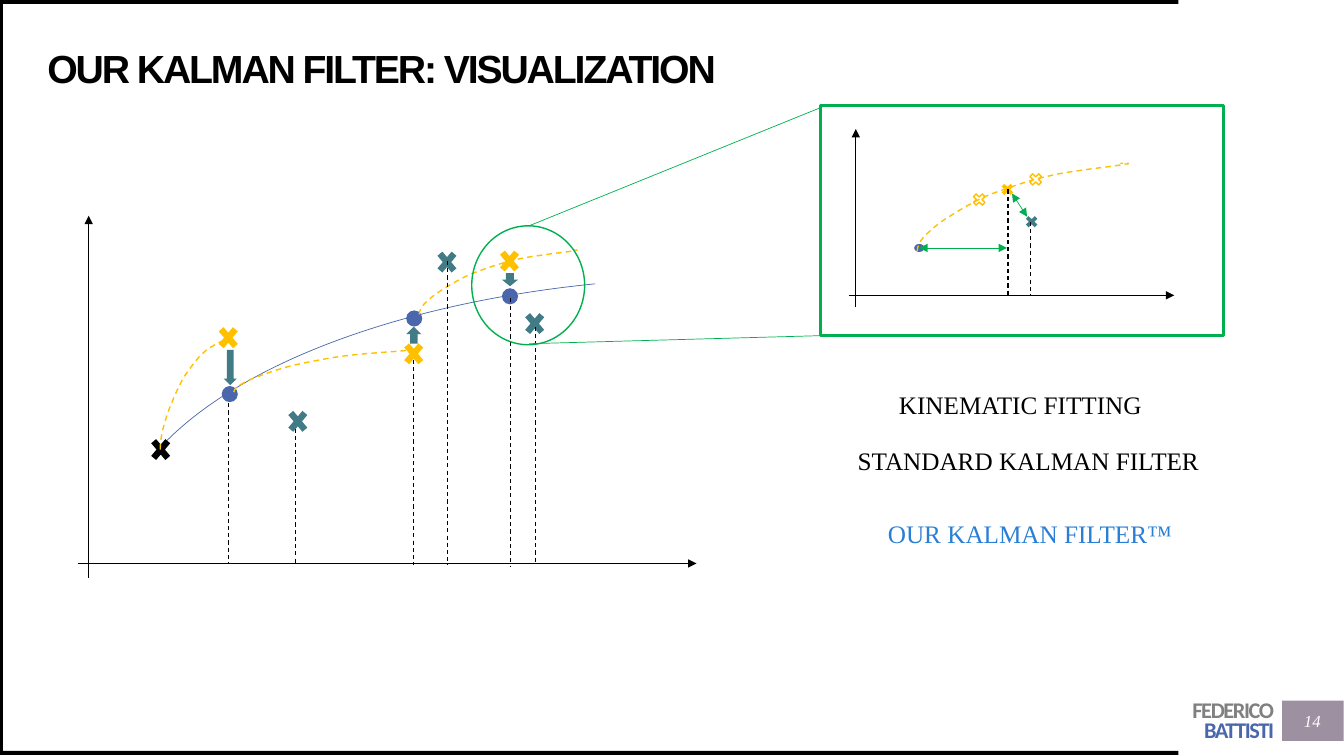
from dataclasses import dataclass
from lxml.etree import SubElement
from pptx import Presentation
from pptx.dml.color import RGBColor
from pptx.enum.dml import MSO_LINE
from pptx.enum.shapes import MSO_CONNECTOR, MSO_SHAPE
from pptx.enum.text import MSO_ANCHOR, MSO_AUTO_SIZE, PP_ALIGN
from pptx.oxml.ns import qn
from pptx.util import Inches, Pt

PX = 9144


@dataclass(frozen=True)
class Theme:
    black: str = "000000"
    white: str = "FFFFFF"
    blue: str = "4A66AC"
    sky: str = "297FD5"
    teal: str = "417B85"
    gold: str = "FFC000"
    green: str = "00B050"
    grey: str = "808080"
    mauve: str = "9D90A0"
    title: int = 28
    label: int = 18
    author: int = 16
    number: int = 12
    head_font: str = "Arial"
    body_font: str = "Times New Roman"
    author_font: str = "Calibri"


def add_text(p, text, *, size, font, color, bold=False, italic=False, spacing=0):
    r = p.add_run()
    r.text = text
    f = r.font
    f.size, f.name, f.bold, f.italic = Pt(size), font, bold, italic
    f.color.rgb = RGBColor.from_string(color)
    if spacing:
        r._r.get_or_add_rPr().set("spc", str(int(spacing * 100)))


TRACK = [(0, 100), (0, 95), (1, 90), (3, 84), (6, 77), (10, 68), (15, 61),
         (20, 53), (26, 45), (32, 38), (39, 31), (49, 23), (56, 18),
         (63, 14), (68, 11), (75, 9), (82, 6), (95, 3), (98, 1),
         (102, 0), (99, 0), (96, 0)]


class Canvas:
    """Draws styled elements on one slide, with lengths in px."""

    def __init__(self, slide, theme):
        self.s = slide
        self.shapes = slide.shapes
        self.t = theme

    def open_group(self):
        self.shapes = self.s.shapes.add_group_shape().shapes

    def close_group(self):
        self.shapes = self.s.shapes

    def stroke(self, line, color, width, dash=False):
        line.color.rgb = RGBColor.from_string(color)
        line.width = Pt(width)
        if dash:
            line.dash_style = MSO_LINE.DASH

    def shape(self, kind, x, y, w, h, fill=None, line=None, width=1, turn=0, adj=()):
        sp = self.shapes.add_shape(kind, x * PX, y * PX, w * PX, h * PX)
        sp.shadow.inherit = False
        sp.rotation = turn
        for i, value in enumerate(adj):
            sp.adjustments[i] = value
        if fill:
            sp.fill.solid()
            sp.fill.fore_color.rgb = RGBColor.from_string(fill)
        else:
            sp.fill.background()
        if line:
            self.stroke(sp.line, line, width)
        else:
            sp.line.fill.background()

    def line(self, x1, y1, x2, y2, color, width=0.5, dash=False, ends=()):
        cn = self.shapes.add_connector(
            MSO_CONNECTOR.STRAIGHT, x1 * PX, y1 * PX, x2 * PX, y2 * PX)
        self.stroke(cn.line, color, width, dash)
        ln = cn.line._get_or_add_ln()
        for end in ends:
            SubElement(ln, qn(f"a:{end}"), type="triangle")
        SubElement(cn._element.spPr, qn("a:effectLst"))

    def axis(self, x1, y1, x2, y2):
        self.line(x1, y1, x2, y2, self.t.black, ends=("tailEnd",))

    def drop(self, x, top, bottom):
        self.line(x, top, x, bottom, self.t.black, 0.75, dash=True)

    def link(self, x1, y1, x2, y2):
        self.line(x1, y1, x2, y2, self.t.green, ends=("headEnd", "tailEnd"))

    def cross(self, x, y, color, w=27, h=32):
        self.shape(MSO_SHAPE.MATH_MULTIPLY, x, y, w, h, color)

    def track(self, x, y, w, h):
        pts = [(round(w * a * PX / 100), round(h * b * PX / 100)) for a, b in TRACK]
        fb = self.shapes.build_freeform(x * PX, (y + h) * PX)
        fb.add_line_segments([(x * PX + a, y * PX + b) for a, b in pts[3::3]],
                             close=False)
        sp = fb.convert_to_shape()
        sp.shadow.inherit = False
        sp.fill.background()
        self.stroke(sp.line, self.t.gold, 1, dash=True)
        segments = list(sp._element.iter(qn("a:lnTo")))
        for i, segment in enumerate(segments):
            segment.tag = qn("a:cubicBezTo")
            segment.clear()
            for a, b in pts[3 * i + 1:3 * i + 4]:
                SubElement(segment, qn("a:pt"), x=str(a), y=str(b))

    def title(self, text, x, y, w, h):
        sp = self.s.shapes.title
        sp.left, sp.top, sp.width, sp.height = (v * PX for v in (x, y, w, h))
        tf = sp.text_frame
        self.frame(tf, (0, 0, 0, 0), MSO_ANCHOR.MIDDLE)
        p = tf.paragraphs[0]
        p.alignment, p.line_spacing = PP_ALIGN.LEFT, 0.9
        add_text(p, text, size=self.t.title, font=self.t.head_font,
                 color=self.t.black, bold=True, spacing=-1.5)

    def frame(self, tf, insets, anchor):
        tf.word_wrap, tf.auto_size = True, MSO_AUTO_SIZE.NONE
        tf.vertical_anchor = anchor
        tf.margin_left, tf.margin_top, tf.margin_right, tf.margin_bottom = (
            v * PX for v in insets)

    def box(self, x, y, w, h, insets=(10, 5, 10, 5), anchor=MSO_ANCHOR.TOP,
            align=PP_ALIGN.LEFT):
        tf = self.shapes.add_textbox(x * PX, y * PX, w * PX, h * PX).text_frame
        self.frame(tf, insets, anchor)
        p = tf.paragraphs[0]
        p.alignment = align
        return p

    def label(self, text, x, y, w, color):
        add_text(self.box(x, y, w, 40), text, size=self.t.label,
                 font=self.t.body_font, color=color)


def draw_frame(c):
    t = c.t
    c.shape(MSO_SHAPE.RECTANGLE, 1272, 695, 61, 40, t.mauve)
    for x, y, w, h in [(0, 745, 1169, 4), (0, 0, 1169, 4), (0, 2, 3, 747)]:
        c.shape(MSO_SHAPE.RECTANGLE, x, y, w, h, t.black)
    p = c.box(1082, 694, 182, 44, (0, 4, 0, 0), align=PP_ALIGN.RIGHT)
    p.line_spacing = Pt(14)
    style = dict(size=t.author, font=t.author_font, bold=True, spacing=-1)
    add_text(p, "FEDERICO", color=t.grey, **style)
    p.add_line_break()
    add_text(p, "BATTISTI", color=t.blue, **style)
    p = c.box(1287, 700, 30, 30, (0, 0, 0, 0), MSO_ANCHOR.MIDDLE, PP_ALIGN.CENTER)
    add_text(p, "14", size=t.number, font=t.body_font, color=t.white, italic=True)
    c.title("OUR KALMAN FILTER: VISUALIZATION", 47, 46, 1006, 49)


def draw_plot(c):
    t = c.t
    c.shape(MSO_SHAPE.ARC, 112, 275, 1223, 549, line=t.blue, width=0.5,
            adj=(114.33, 146.15))
    c.open_group()
    for x, top, bottom in [(293, 418, 559), (410, 350, 561)]:
        c.drop(x, top, bottom)
    for x, y, color in [(146, 430, t.black), (213, 319, t.gold), (430, 244, t.teal),
                        (397, 335, t.gold), (282, 402, t.teal), (492, 243, t.gold),
                        (517, 305, t.teal)]:
        c.cross(x, y, color)
    for x, y in [(220, 383), (403, 308), (498, 286)]:
        c.shape(MSO_SHAPE.OVAL, x, y, 16, 16, t.blue)
    for area in [(159, 333, 70, 113), (232, 347, 177, 42), (416, 248, 157, 64)]:
        c.track(*area)
    for x, y, w, h, turn in [(222, 347, 13, 35, 0), (403, 324, 15, 17, 180),
                             (498, 271, 16, 13, 0)]:
        c.shape(MSO_SHAPE.DOWN_ARROW, x, y, w, h, t.teal, turn=turn)
    c.axis(77, 559, 691, 559)
    c.axis(88, 573, 88, 214)
    for x, top, bottom in [(227, 400, 559), (506, 296, 562), (444, 259, 561),
                           (531, 324, 559)]:
        c.drop(x, top, bottom)
    c.close_group()


def draw_inset(c):
    t = c.t
    c.open_group()
    c.axis(842, 293, 1165, 293)
    c.shape(MSO_SHAPE.OVAL, 907, 242, 10, 8, t.blue)
    c.cross(1015, 212, t.teal, 17, 16)
    c.track(910, 162, 210, 87)
    c.cross(991, 180, t.gold, 17, 16)
    c.link(1004, 192, 1019, 215)
    for x, y in [(963, 190), (1019, 170)]:
        c.shape(MSO_SHAPE.MATH_MULTIPLY, x, y, 17, 16, line=t.gold)
    c.drop(1000, 188, 294)
    c.link(912, 246, 999, 246)
    c.drop(1022, 220, 294)
    c.axis(849, 305, 849, 128)
    c.close_group()


def draw_zoom(c):
    green = c.t.green
    c.shape(MSO_SHAPE.RECTANGLE, 814, 105, 400, 228, line=green, width=2.25)
    c.shape(MSO_SHAPE.OVAL, 468, 224, 112, 118, line=green)
    c.line(525, 341, 814, 333, green)
    c.line(525, 224, 816, 106, green)


def main():
    prs = Presentation()
    prs.slide_width, prs.slide_height = Inches(40 / 3), Inches(7.5)
    c = Canvas(prs.slides.add_slide(prs.slide_layouts[5]), Theme())
    draw_frame(c)
    draw_plot(c)
    draw_inset(c)
    draw_zoom(c)
    c.label("KINEMATIC FITTING", 882, 381, 283, c.t.black)
    c.label("STANDARD KALMAN FILTER", 841, 437, 361, c.t.black)
    c.label("OUR KALMAN FILTER™", 871, 509, 305, c.t.sky)
    prs.save("out.pptx")


if __name__ == "__main__":
    main()
